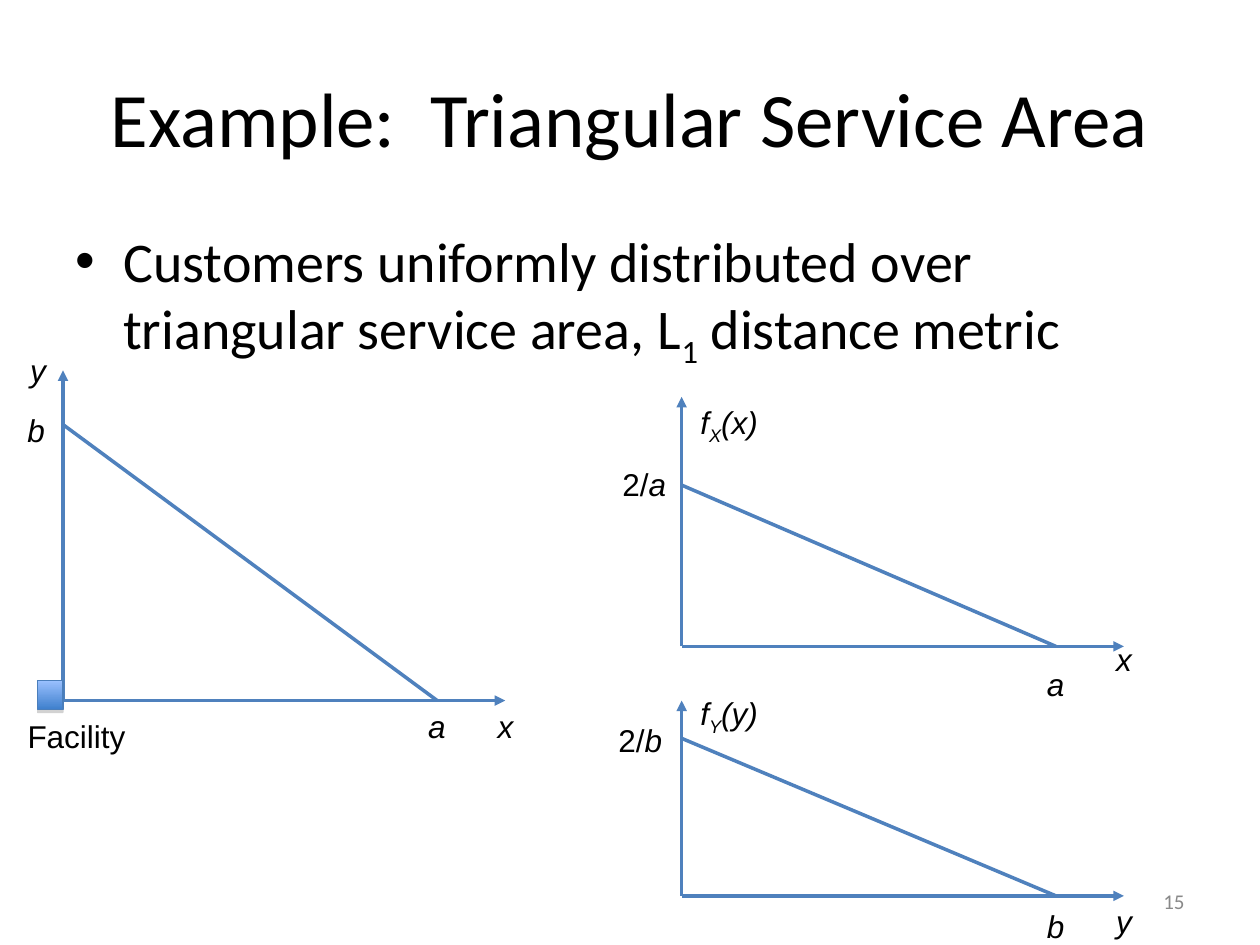
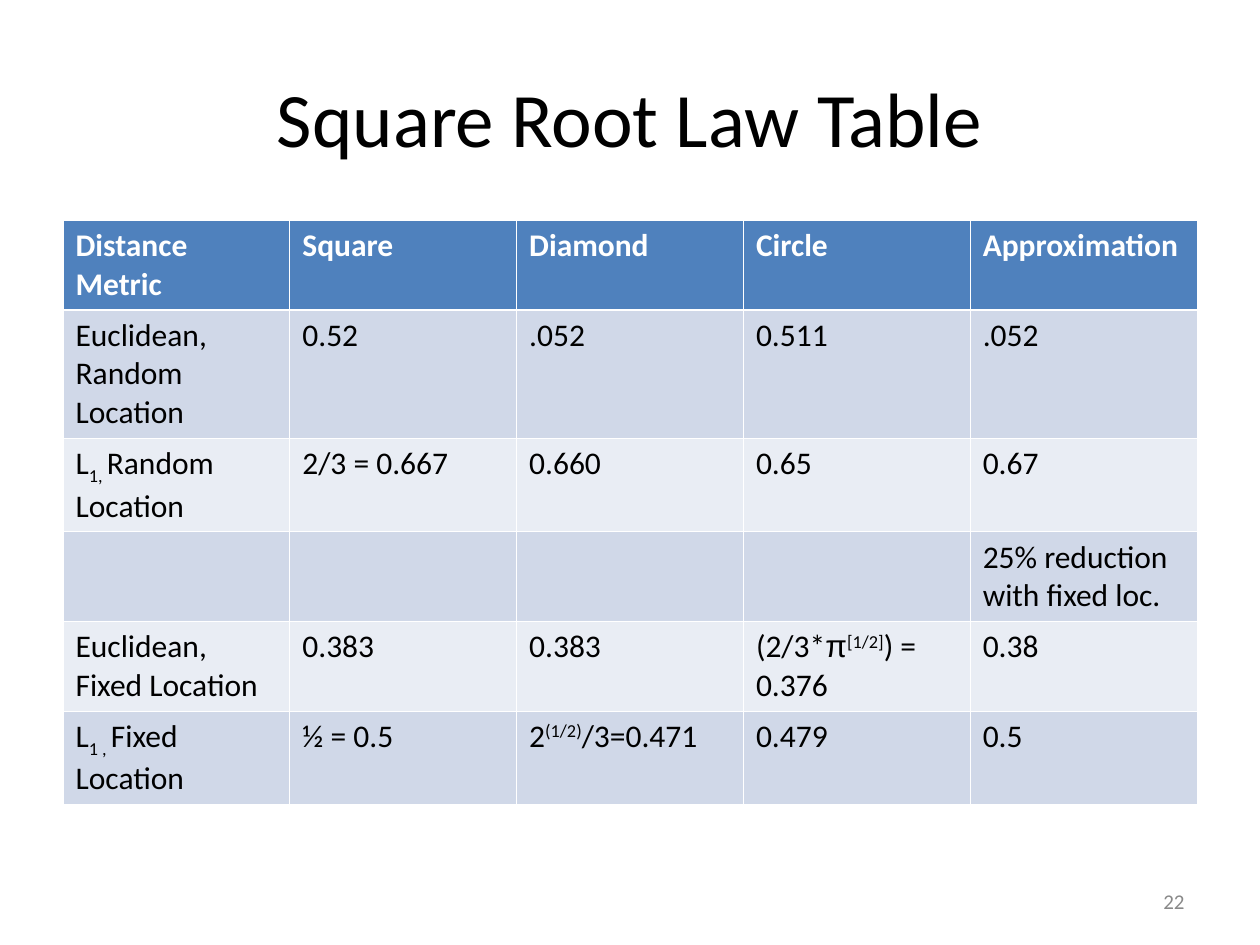
from lxml import etree
from pptx import Presentation
from pptx import util as u
from pptx.dml.color import RGBColor
from pptx.enum import shapes, text
from pptx.oxml import ns

WIDTH, HEIGHT = 10, 7.5
MARGIN = 0.05 * WIDTH
CONTENT_WIDTH = WIDTH - 2 * MARGIN
BODY_TOP = 1.75

BLACK = RGBColor(0x00, 0x00, 0x00)
WHITE = RGBColor(0xFF, 0xFF, 0xFF)
GREY = RGBColor(0x89, 0x89, 0x89)
BLUE = RGBColor(0x4F, 0x81, 0xBD)
EDGE_BLUE = RGBColor(0x4A, 0x7E, 0xBB)
GRADIENT = (RGBColor(0x9B, 0xC1, 0xFF), RGBColor(0x3F, 0x80, 0xCD))
BANDS = (RGBColor(0xE9, 0xED, 0xF4), RGBColor(0xD0, 0xD8, 0xE8))

TITLE = {"name": "Calibri", "size": u.Pt(44)}
BODY = {"name": "Calibri", "size": u.Pt(32)}
NUMBER = {"name": "Calibri", "size": u.Pt(12)}
LABEL = {"name": "Arial", "size": u.Pt(18)}
CELL = {"name": "Calibri", "size": u.Pt(18)}
HEADER = {**CELL, "bold": True}
ITALIC = {"italic": True}
SUB, SUP = {"baseline": -25}, {"baseline": 30}
ITALIC_SUB = {**ITALIC, **SUB}

AREA_TITLE, AREA_NUMBER = "Example:  Triangular Service Area", "15"
AREA_BULLET = [("Customers uniformly distributed over triangular service area, L", {}),
               ("1", SUB), (" distance metric", {})]

AXIS_LENGTH, BASE_LENGTH = 3.51, 2.97
GRAPHS = [
    {"left": 0.5, "base": 5.56, "top": 2.94, "peak": 3.37,
     "axis": ("x", 5.56), "tick": ("a", 5.56),
     "side": [([("y", ITALIC)], 0.14, 2.74, 0.32), ([("b", ITALIC)], 0.12, 3.21, 0.34)]},
    {"left": 5.41, "base": 5.13, "top": 3.15, "peak": 3.85,
     "axis": ("x", 5.03), "tick": ("a", 5.23),
     "side": [([("f", ITALIC), ("X", ITALIC_SUB), ("(x)", ITALIC)], 5.46, 3.15, 0.66),
              ([("2/", {}), ("a", ITALIC)], 4.84, 3.64, 0.55)]},
    {"left": 5.41, "base": 7.11, "top": 5.56, "peak": 5.86,
     "axis": ("y", 7.11), "tick": ("b", 7.15),
     "side": [([("f", ITALIC), ("Y", ITALIC_SUB), ("(y)", ITALIC)], 5.46, 5.46, 0.66),
              ([("2/", {}), ("b", ITALIC)], 4.81, 5.67, 0.55)]},
]
FACILITY_BOX = (0.3, 5.4, 0.2, 0.23)
FACILITY_LABEL = ([("Facility", {})], 0.12, 5.64, 0.98)

TABLE_TITLE, TABLE_NUMBER = "Square Root Law Table", "22"
ROW_HEIGHTS = (0.7, 1, 0.74, 0.7, 0.7, 0.74)
ROWS = [
    ["Distance Metric", "Square", "Diamond", "Circle", "Approximation"],
    ["Euclidean, Random Location", "0.52", ".052", "0.511", ".052"],
    [[("L", {}), ("1, ", SUB), ("Random Location", {})],
     "2/3 = 0.667", "0.660", "0.65", "0.67"],
    ["", "", "", "", "25% reduction with fixed loc."],
    ["Euclidean, Fixed Location", "0.383", "0.383",
     [("(2/3*", {}), ("π", {"name": "Arial"}), ("[1/2]", SUP), (") = 0.376", {})], "0.38"],
    [[("L", {}), ("1 , ", SUB), ("Fixed Location", {})], "½ = 0.5",
     [("2", {}), ("(1/2)", SUP), ("/3=0.471", {})], "0.479", "0.5"],
]


def add_xml(parent, tag, position=None, **attributes):
    element = etree.Element(ns.qn(tag), {key: str(value) for key, value in attributes.items()})
    parent.insert(len(parent) if position is None else position, element)
    return element


def write(paragraph, content, style, color=BLACK):
    runs = [(content, {})] if isinstance(content, str) else content
    for wording, changes in runs:
        if not wording:
            continue
        run = paragraph.add_run()
        run.text = wording
        run.font.color.rgb = color
        for key, value in {**style, **changes}.items():
            if key == "baseline":
                run.font._element.set("baseline", str(value * 1000))
            else:
                setattr(run.font, key, value)


def add_text(slide, box, content, style, color=BLACK, align=text.PP_ALIGN.LEFT,
             anchor=text.MSO_ANCHOR.TOP, wrap=True):
    shape = slide.shapes.add_textbox(*map(u.Inches, box))
    fit = text.MSO_AUTO_SIZE.NONE if wrap else text.MSO_AUTO_SIZE.SHAPE_TO_FIT_TEXT
    settings = {"word_wrap": wrap, "auto_size": fit, "vertical_anchor": anchor}
    for key, value in settings.items():
        setattr(shape.text_frame, key, value)
    paragraph = shape.text_frame.paragraphs[0]
    paragraph.alignment = align
    write(paragraph, content, style, color)
    return paragraph


def add_label(slide, content, left, top, width):
    add_text(slide, (left, top, width, 0.4), content, LABEL, wrap=False)


def add_line(slide, start, end, arrow=False):
    line = slide.shapes.add_connector(shapes.MSO_CONNECTOR.STRAIGHT,
                                      *map(u.Inches, (*start, *end)))
    line.line.color.rgb = BLUE
    line.line.width = u.Pt(2)
    if arrow:
        add_xml(line.line._get_or_add_ln(), "a:tailEnd", type="triangle")
    add_xml(line._element.spPr, "a:effectLst")


def add_graph(slide, graph):
    left, base = graph["left"], graph["base"]
    origin = (left, base)
    add_line(slide, origin, (left, graph["top"]), arrow=True)
    add_line(slide, origin, (left + AXIS_LENGTH, base), arrow=True)
    add_line(slide, (left, graph["peak"]), (left + BASE_LENGTH, base))
    for key, distance, width in (("axis", AXIS_LENGTH, 0.32), ("tick", BASE_LENGTH, 0.34)):
        letter, top = graph[key]
        add_label(slide, [(letter, ITALIC)], left + distance - width / 2, top, width)
    for label in graph["side"]:
        add_label(slide, *label)


def add_facility(slide):
    shape = slide.shapes.add_shape(shapes.MSO_SHAPE.RECTANGLE, *map(u.Inches, FACILITY_BOX))
    shape.fill.gradient()
    shape.fill.gradient_angle = 270
    for position, (stop, color) in enumerate(zip(shape.fill.gradient_stops, GRADIENT)):
        stop.color.rgb = color
        stop.position = position
    shape.line.color.rgb = EDGE_BLUE
    shape.line.width = u.Pt(0.75)
    shape.shadow.inherit = False
    effects = shape._element.spPr.find(ns.qn("a:effectLst"))
    shadow = add_xml(effects, "a:outerShdw", blurRad=0, dist=u.Pt(1.8),
                     dir=90 * 60000, rotWithShape=0)
    add_xml(add_xml(shadow, "a:srgbClr", val="808080"), "a:alpha", val=35000)
    add_label(slide, *FACILITY_LABEL)


def set_borders(cell, row_index):
    thick = {0: "B", 1: "T"}.get(row_index)
    properties = cell._tc.get_or_add_tcPr()
    for position, side in enumerate("LRTB"):
        width = u.Pt(1.47 if side == thick else 0.45)
        line = add_xml(properties, f"a:ln{side}", position, w=width)
        add_xml(add_xml(line, "a:solidFill"), "a:srgbClr", val=WHITE)


def add_law_table(slide):
    columns = len(ROWS[0])
    box = (MARGIN, BODY_TOP, CONTENT_WIDTH, sum(ROW_HEIGHTS))
    table = slide.shapes.add_table(len(ROWS), columns, *map(u.Inches, box)).table
    for column in table.columns:
        column.width = u.Inches(CONTENT_WIDTH / columns)
    for row_index, (contents, height) in enumerate(zip(ROWS, ROW_HEIGHTS)):
        table.rows[row_index].height = u.Inches(height)
        is_header = row_index == 0
        for column_index, content in enumerate(contents):
            cell = table.cell(row_index, column_index)
            cell.fill.solid()
            cell.fill.fore_color.rgb = BLUE if is_header else BANDS[row_index % 2]
            set_borders(cell, row_index)
            write(cell.text_frame.paragraphs[0], content,
                  HEADER if is_header else CELL, WHITE if is_header else BLACK)


def add_slide(presentation, title, number):
    slide = presentation.slides.add_slide(presentation.slide_layouts[6])
    middle = text.MSO_ANCHOR.MIDDLE
    add_text(slide, (MARGIN, 0.04 * HEIGHT, CONTENT_WIDTH, HEIGHT / 6), title, TITLE,
             align=text.PP_ALIGN.CENTER, anchor=middle)
    add_text(slide, (7.17, 6.95, 2.33, 0.4), number, NUMBER, GREY,
             align=text.PP_ALIGN.RIGHT, anchor=middle)
    return slide


def add_bullet(slide):
    paragraph = add_text(slide, (MARGIN, BODY_TOP, CONTENT_WIDTH, 4.95), AREA_BULLET, BODY)
    paragraph.space_before = u.Pt(8)
    properties = paragraph._p.get_or_add_pPr()
    properties.set("marL", str(u.Inches(0.38)))
    properties.set("indent", str(-u.Inches(0.38)))
    add_xml(properties, "a:buFont", typeface="Arial")
    add_xml(properties, "a:buChar", char="•")


def main():
    presentation = Presentation()
    presentation.slide_width = u.Inches(WIDTH)
    presentation.slide_height = u.Inches(HEIGHT)
    area_slide = add_slide(presentation, AREA_TITLE, AREA_NUMBER)
    add_bullet(area_slide)
    for graph in GRAPHS:
        add_graph(area_slide, graph)
    add_facility(area_slide)
    add_law_table(add_slide(presentation, TABLE_TITLE, TABLE_NUMBER))
    presentation.save("out.pptx")


if __name__ == "__main__":
    main()
